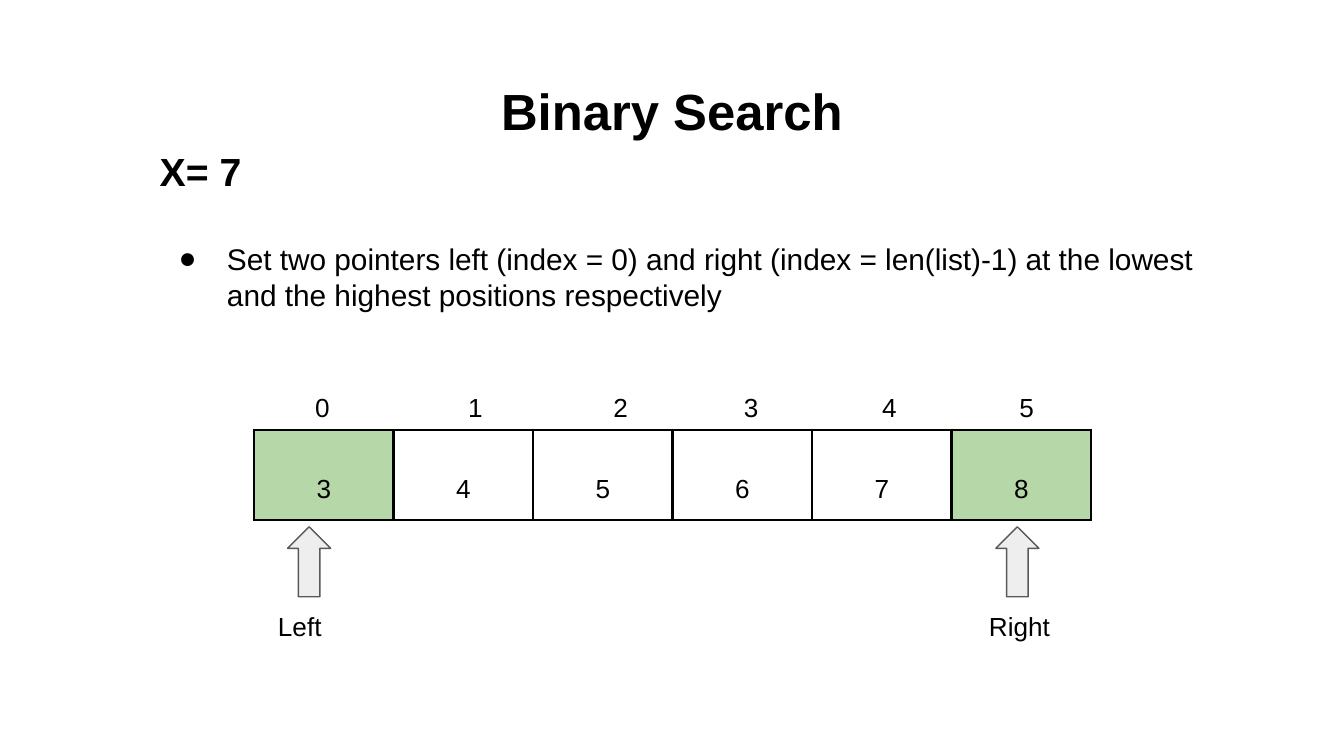
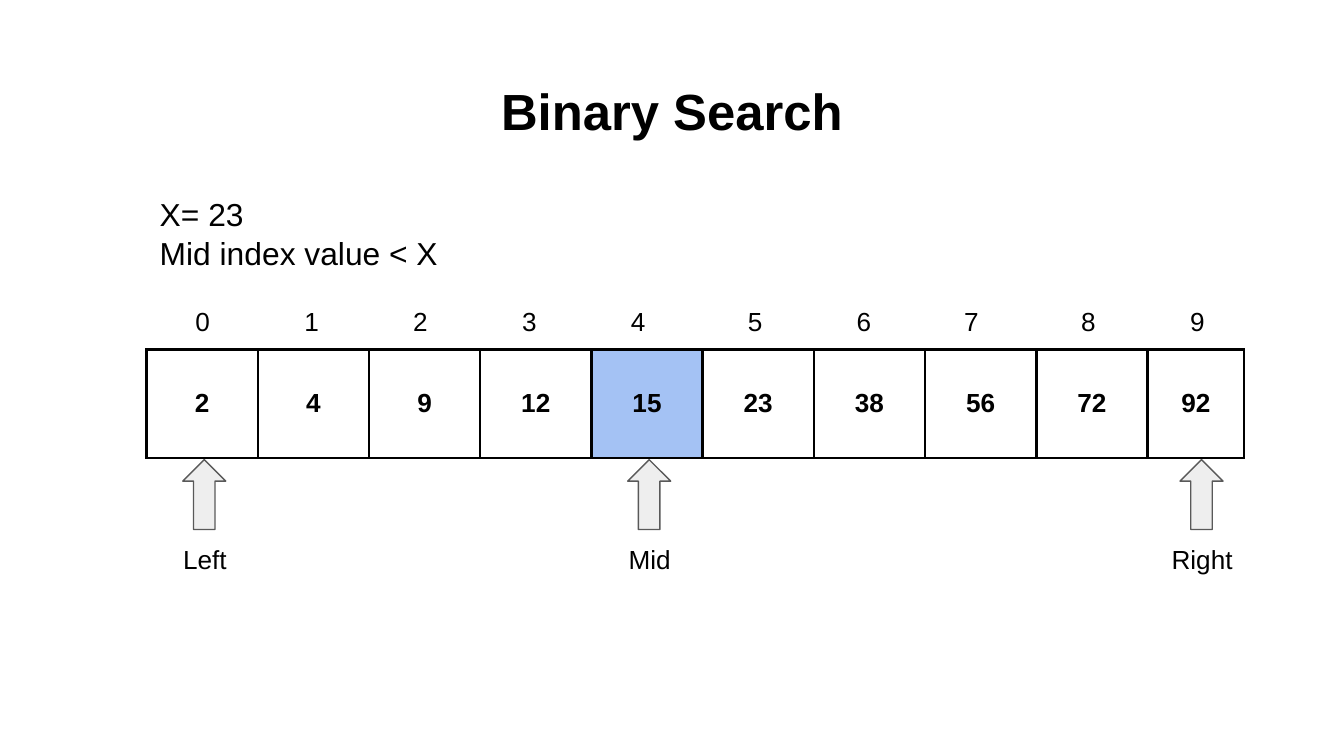
"""Build two slides that step through a binary search."""
import pptx
import pptx.dml.color
import pptx.enum.shapes
import pptx.enum.text
import pptx.oxml
import pptx.util

Inches, Pt = pptx.util.Inches, pptx.util.Pt
ALIGN = pptx.enum.text.PP_ALIGN
ANCHOR = pptx.enum.text.MSO_ANCHOR
NS = 'xmlns:a="http://schemas.openxmlformats.org/drawingml/2006/main"'
INK, GREY, EDGE, GREEN, BLUE = "000000", "EEEEEE", "595959", "B6D7A8", "A4C2F4"
PAD = 0.1
ARROW_W, ARROW_H = 0.32, 0.52


def color(value):
    return pptx.dml.color.RGBColor.from_string(value)


def write(tf, text, size=14, bold=False, align=ALIGN.LEFT, spacing=1, before=0, more=False):
    p = tf.add_paragraph() if more else tf.paragraphs[0]
    p.alignment, p.line_spacing, p.space_before = align, spacing, Pt(before)
    r = p.add_run()
    r.text = text
    r.font.name, r.font.size, r.font.bold = "Arial", Pt(size), bold
    r.font.color.rgb = color(INK)
    return p


prs = pptx.Presentation()
prs.slide_width = Inches(10)
prs.slide_height = prs.slide_width * 9 // 16

steps = [
    dict(body=(0.76, 2.27),
         lines=[dict(text="X= 7", size=21, bold=True),
                dict(text="Set two pointers left (index = 0) and right (index = len(list)-1) "
                          "at the lowest and the highest positions respectively",
                     size=16, spacing=1.02, before=24, more=True)],
         bullet=True,
         values=[3, 4, 5, 6, 7, 8], marked={0: GREEN, 5: GREEN},
         table=(1.89, 3.2), widths=[6.23 / 6] * 6, row=0.67, bold=False, spacing=2,
         index=(1.98, 2.81, 6.23), stops=[0.32, 1.46, 2.54, 3.51, 4.54, 5.56],
         arrow_top=3.92, align=ALIGN.LEFT,
         pointers=[("Left", 2.14, 1.97, 0.66), ("Right", 7.41, 7.26, 0.78)]),
    dict(body=(1.11, 2.31),
         lines=[dict(text="X= 23", size=17),
                dict(text="Mid index value < X", size=17, spacing=1.02, more=True)],
         bullet=False,
         values=[2, 4, 9, 12, 15, 23, 38, 56, 72, 92], marked={4: BLUE},
         table=(1.09, 2.6), widths=[7.45 / 9] * 9 + [0.72], row=0.81, bold=True, spacing=1,
         index=(1.09, 2.17, 8.17),
         stops=[0.32, 1.13, 1.94, 2.75, 3.56, 4.43, 5.24, 6.04, 6.91, 7.72],
         arrow_top=3.42, align=ALIGN.CENTER,
         pointers=[("Left", 1.36, 1.09, 0.87), ("Mid", 4.67, 4.4, 0.87),
                   ("Right", 8.78, 8.51, 0.87)]),
]

for step in steps:
    s = prs.slides.add_slide(prs.slide_layouts[6])
    body_top, body_h = step["body"]
    index_x, index_y, index_w = step["index"]
    label_top = step["arrow_top"] + ARROW_H
    boxes = [
        (0.34, 0.49, 9.32, 0.63, PAD,
         [dict(text="Binary Search", size=27.2, bold=True, align=ALIGN.CENTER)]),
        (1.09, body_top, 8.02, body_h, 0.34, step["lines"]),
        (index_x, index_y, index_w, 0.44, PAD,
         [dict(text="".join(f"\t{i}" for i in range(len(step["values"]))))]),
    ]
    for name, arrow_x, label_x, label_w in step["pointers"]:
        boxes.append((label_x, label_top, label_w, 0.44, PAD,
                      [dict(text=name, align=step["align"])]))
        sp = s.shapes.add_shape(pptx.enum.shapes.MSO_SHAPE.UP_ARROW, Inches(arrow_x),
                                Inches(step["arrow_top"]), Inches(ARROW_W), Inches(ARROW_H))
        sp.shadow.inherit = False
        sp.fill.solid()
        sp.fill.fore_color.rgb = color(GREY)
        sp.line.color.rgb = color(EDGE)
        sp.line.width = Pt(0.75)

    last = []
    for x, y, w, h, top, lines in boxes:
        tf = s.shapes.add_textbox(Inches(x), Inches(y), Inches(w), Inches(h)).text_frame
        tf.word_wrap = True
        tf.margin_left = tf.margin_right = tf.margin_bottom = Inches(PAD)
        tf.margin_top = Inches(top)
        for line in lines:
            p = write(tf, **line)
        last.append(p)

    if step["bullet"]:
        pPr = last[1]._p.get_or_add_pPr()
        pPr.set("marL", str(Inches(0.5)))
        pPr.set("indent", str(Inches(-0.36)))
        pPr.append(pptx.oxml.parse_xml(f'<a:buSzPct {NS} val="100000"/>'))
        pPr.append(pptx.oxml.parse_xml(f'<a:buFont {NS} typeface="Arial"/>'))
        pPr.append(pptx.oxml.parse_xml(f'<a:buChar {NS} char="●"/>'))
    tabs = "".join(f'<a:tab pos="{Inches(stop)}" algn="ctr"/>' for stop in step["stops"])
    last[2]._p.get_or_add_pPr().append(pptx.oxml.parse_xml(f"<a:tabLst {NS}>{tabs}</a:tabLst>"))

    x, y = step["table"]
    tbl = s.shapes.add_table(1, len(step["values"]), Inches(x), Inches(y),
                             Inches(sum(step["widths"])), Inches(step["row"])).table
    tbl.first_row = tbl.horz_banding = False
    for i, value in enumerate(step["values"]):
        tbl.columns[i].width = Inches(step["widths"][i])
        cell = tbl.cell(0, i)
        cell.vertical_anchor = ANCHOR.MIDDLE
        cell.margin_left = cell.margin_right = cell.margin_top = cell.margin_bottom = Inches(PAD)
        write(cell.text_frame, str(value), bold=step["bold"], align=ALIGN.CENTER,
              spacing=step["spacing"])
        tcPr = cell._tc.get_or_add_tcPr()
        for side in ("lnL", "lnR", "lnT", "lnB"):
            tcPr.append(pptx.oxml.parse_xml(
                f'<a:{side} {NS} w="{Pt(1.5)}"><a:solidFill><a:srgbClr val="{INK}"/>'
                f"</a:solidFill></a:{side}>"))
        if i in step["marked"]:
            cell.fill.solid()
            cell.fill.fore_color.rgb = color(step["marked"][i])
        else:
            cell.fill.background()

prs.save("out.pptx")
